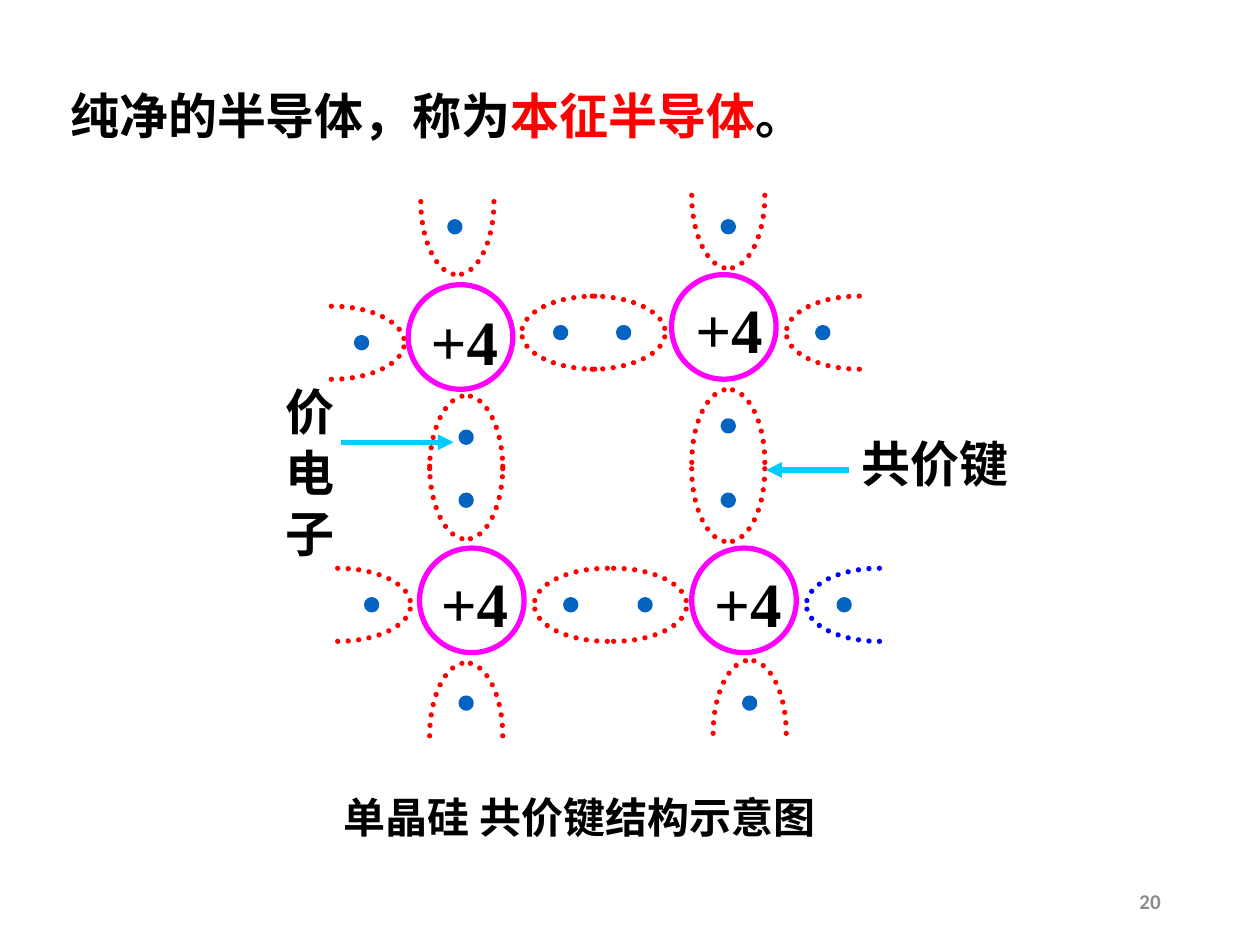
from math import cos, sin, radians
from lxml import etree
from pptx import Presentation
from pptx.dml.color import RGBColor
from pptx.enum.dml import MSO_LINE
from pptx.enum.shapes import MSO_CONNECTOR, MSO_SHAPE
from pptx.enum.text import MSO_ANCHOR, MSO_AUTO_SIZE, PP_ALIGN
from pptx.oxml.ns import qn
from pptx.util import Inches, Pt

BLACK = RGBColor(0x00, 0x00, 0x00)
RED = RGBColor(0xFF, 0x00, 0x00)
BLUE = RGBColor(0x00, 0x00, 0xFF)
MAGENTA = RGBColor(0xFF, 0x00, 0xFF)
ELECTRON = RGBColor(0x05, 0x63, 0xC1)
CYAN = RGBColor(0x00, 0xCC, 0xFF)
GREY = RGBColor(0x8C, 0x8C, 0x8C)
SERIF = "Times New Roman"

ATOM = 0.83      # atom diameter
DOT = 0.08       # electron diameter
LONG = 0.58      # length of a half bond
SHORT = 0.29     # half the width of a bond
BEND = 0.55      # Bezier handle length for a quarter ellipse
RIGHT, DOWN, LEFT, UP = 0, 90, 180, 270


def add_run(p, text, size, color=BLACK, font=SERIF):
    r = p.add_run()
    r.text = text
    r.font.name = font
    r.font.size = Pt(size)
    r.font.bold = True
    r.font.color.rgb = color


def add_text(x, y, w, h, text, size):
    s = slide.shapes.add_textbox(Inches(x), Inches(y), Inches(w), Inches(h))
    tf = s.text_frame
    tf.word_wrap = True
    tf.auto_size = MSO_AUTO_SIZE.SHAPE_TO_FIT_TEXT
    add_run(tf.paragraphs[0], text, size)
    return tf


prs = Presentation()
prs.slide_width, prs.slide_height = Inches(10), Inches(7.5)
slide = prs.slides.add_slide(prs.slide_layouts[5])

# Title
title = slide.shapes.title
title.left, title.top = Inches(0.44), Inches(0.63)
title.width, title.height = Inches(6.06), Inches(0.57)
tf = title.text_frame
tf.word_wrap = False
tf.auto_size = MSO_AUTO_SIZE.SHAPE_TO_FIT_TEXT
tf.vertical_anchor = MSO_ANCHOR.TOP
p = tf.paragraphs[0]
p.alignment = PP_ALIGN.CENTER
for text, color in (("纯净的半导体，称为", BLACK), ("本征半导体", RED), ("。", BLACK)):
    add_run(p, text, 28, color)

# Atoms: left, top, label left, label top, label width
for x, y, label_x, label_y, label_w in (
        (5.33, 2.18, 5.42, 2.26, 0.75), (5.49, 4.35, 5.57, 4.43, 0.88),
        (3.33, 4.35, 3.40, 4.43, 0.82), (3.24, 2.26, 3.32, 2.35, 0.87)):
    s = slide.shapes.add_shape(MSO_SHAPE.OVAL, Inches(x), Inches(y),
                               Inches(ATOM), Inches(ATOM))
    s.shadow.inherit = False
    s.fill.background()
    s.line.color.rgb = MAGENTA
    s.line.width = Pt(3)
    add_text(label_x, label_y, label_w, 0.7, "+4", 36)

# Half bonds: tip x, tip y, direction of the tip, electron x, electron y, colour
half_bonds = [
    (3.63, 2.18, DOWN, 3.61, 1.80, RED), (5.78, 2.13, DOWN, 5.78, 1.80, RED),
    (3.70, 4.28, DOWN, 3.70, 3.97, RED), (5.78, 4.30, DOWN, 5.78, 3.97, RED),
    (6.24, 2.64, LEFT, 6.53, 2.64, RED), (6.40, 4.80, LEFT, 6.70, 4.80, BLUE),
    (4.24, 4.80, LEFT, 4.53, 4.80, RED), (4.14, 2.64, LEFT, 4.45, 2.64, RED),
    (5.78, 3.09, UP, 5.78, 3.38, RED), (3.70, 3.14, UP, 3.70, 3.47, RED),
    (3.70, 5.26, UP, 3.70, 5.58, RED), (5.95, 5.24, UP, 5.95, 5.58, RED),
    (3.21, 2.72, RIGHT, 2.87, 2.72, RED), (3.26, 4.80, RIGHT, 2.95, 4.80, RED),
    (5.28, 2.64, RIGHT, 4.95, 2.64, RED), (5.45, 4.80, RIGHT, 5.12, 4.80, RED),
]
for tip_x, tip_y, angle, dot_x, dot_y, color in half_bonds:
    dx, dy = cos(radians(angle)), sin(radians(angle))
    # Two quarter ellipses, drawn pointing right and then turned
    for side in (-1, 1):
        cx = tip_x - dx * LONG / 2 - dy * side * SHORT / 2
        cy = tip_y - dy * LONG / 2 + dx * side * SHORT / 2
        fb = slide.shapes.build_freeform(Inches(cx - LONG / 2),
                                         Inches(cy + side * SHORT / 2))
        fb.add_line_segments([(Inches(cx + LONG / 2),
                               Inches(cy - side * SHORT / 2))], close=False)
        s = fb.convert_to_shape()
        # Turn the straight segment into a Bezier curve
        curve = s._element.find(".//" + qn("a:lnTo"))
        curve.tag = qn("a:cubicBezTo")
        outer, inner = (0, s.height) if side < 0 else (s.height, 0)
        handles = ((s.width * BEND, outer),
                   (s.width, inner + (outer - inner) * BEND))
        for i, (x, y) in enumerate(handles):
            pt = etree.Element(qn("a:pt"), x=str(round(x)), y=str(round(y)))
            curve.insert(i, pt)
        s.rotation = angle
        s.shadow.inherit = False
        s.fill.background()
        s.line.color.rgb = color
        s.line.width = Pt(3)
        s.line.dash_style = MSO_LINE.ROUND_DOT
        s.line._get_or_add_ln().set("cap", "rnd")
    # Valence electron
    s = slide.shapes.add_shape(MSO_SHAPE.OVAL, Inches(dot_x - DOT / 2),
                               Inches(dot_y - DOT / 2), Inches(DOT), Inches(DOT))
    s.shadow.inherit = False
    s.fill.solid()
    s.fill.fore_color.rgb = ELECTRON
    s.line.color.rgb = ELECTRON
    s.line.width = Pt(3)

# Label arrows
for x1, x2, y in ((6.74, 6.08, 3.73), (2.71, 3.60, 3.51)):
    s = slide.shapes.add_connector(MSO_CONNECTOR.STRAIGHT, Inches(x1), Inches(y),
                                   Inches(x2), Inches(y))
    s.line.color.rgb = CYAN
    s.line.width = Pt(3)
    etree.SubElement(s.line._get_or_add_ln(), qn("a:tailEnd"), type="triangle")
    etree.SubElement(s._element.spPr, qn("a:effectLst"))

# Labels and caption
tf = add_text(2.06, 2.98, 0.67, 1.56, "价 电 子", 28)
tf._txBody.bodyPr.set("vert", "eaVert")
add_text(6.74, 3.39, 1.53, 0.57, "共价键", 28)
add_text(2.63, 6.23, 4.11, 0.51, "单晶硅 共价键结构示意图", 24)

# Slide number
s = slide.shapes.add_textbox(Inches(7.06), Inches(6.95), Inches(2.25), Inches(0.4))
tf = s.text_frame
tf.word_wrap = True
tf.vertical_anchor = MSO_ANCHOR.MIDDLE
p = tf.paragraphs[0]
p.alignment = PP_ALIGN.RIGHT
add_run(p, "20", 12, GREY, "Calibri")

prs.save("out.pptx")
